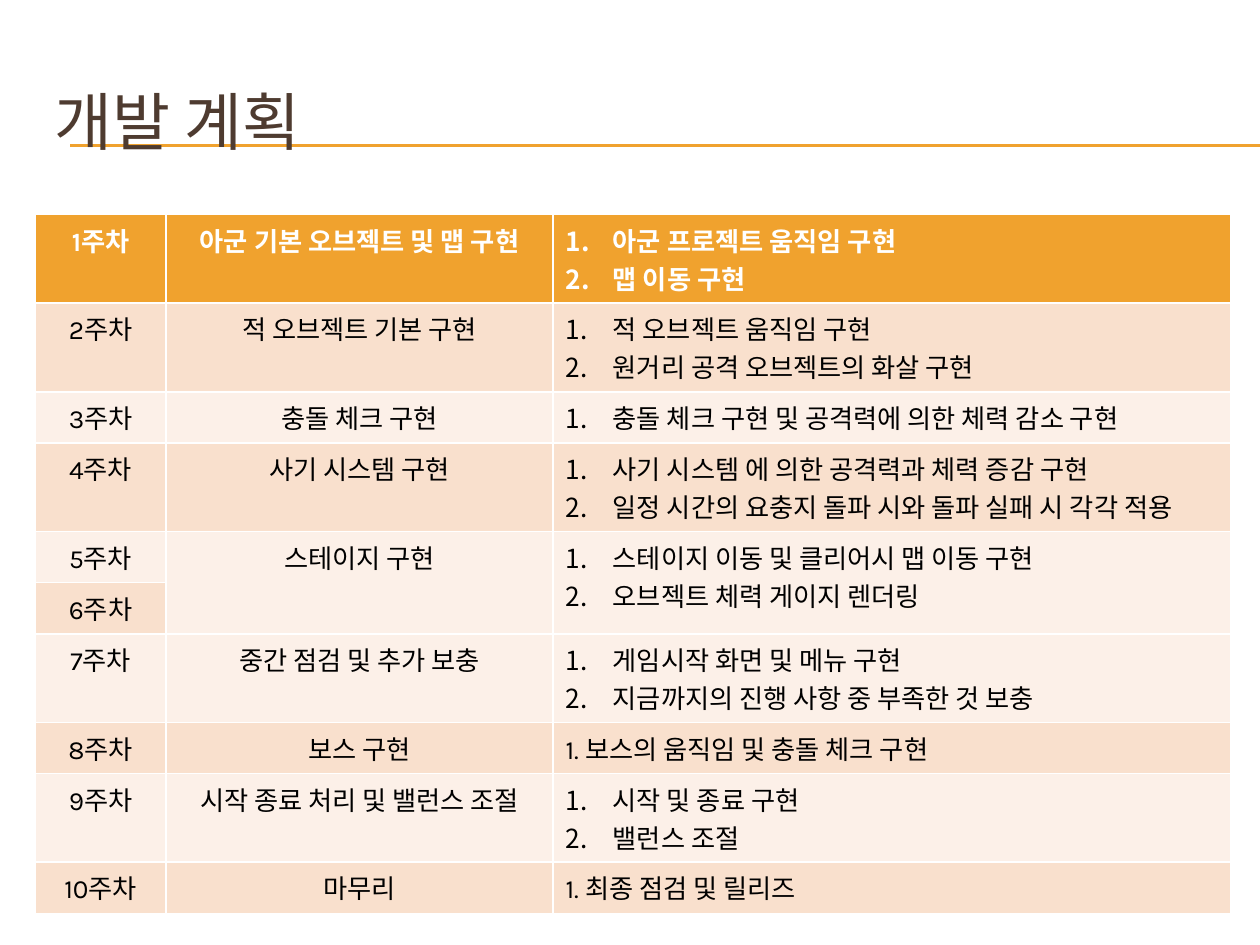
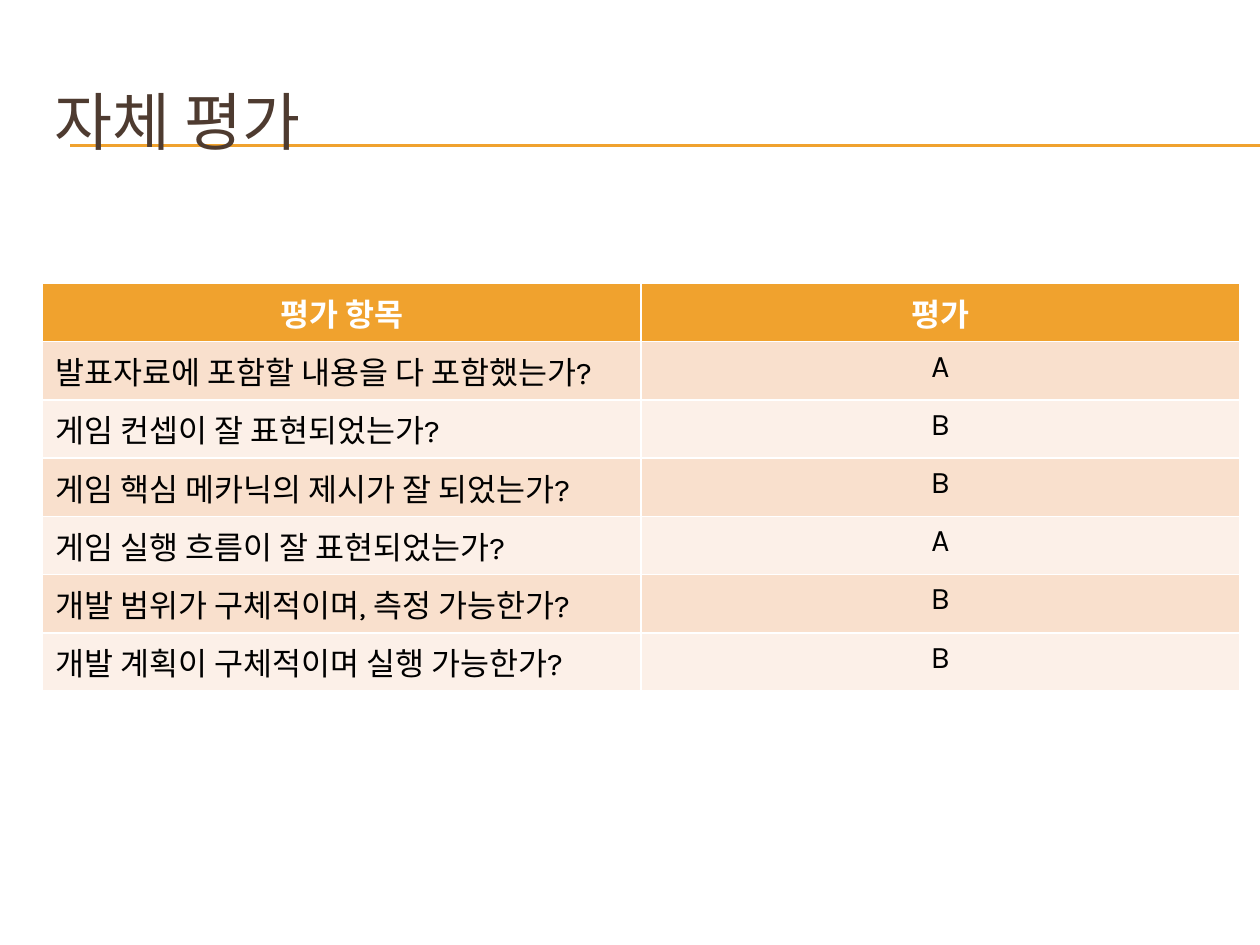
from dataclasses import dataclass

from lxml import etree
from pptx import Presentation
from pptx import util as u
from pptx.dml.color import RGBColor
from pptx.enum import shapes, text
from pptx.oxml import ns


@dataclass(frozen=True)
class Theme:
    """Colours, font and type sizes shared by the slides."""
    font: str = "Karla"
    accent: RGBColor = RGBColor(0xF0, 0xA2, 0x2E)
    title: RGBColor = RGBColor(0x4E, 0x3B, 0x30)
    header_text: RGBColor = RGBColor(0xFF, 0xFF, 0xFF)
    body_text: RGBColor = RGBColor(0, 0, 0)
    bands: tuple = (RGBColor(0xFC, 0xF0, 0xE8), RGBColor(0xF9, 0xE0, 0xCD))
    title_size: int = 36
    plan_size: int = 15
    review_size: int = 18


THEME = Theme()
TITLE_BOX = (24, 36, 684, 66)
SINGLE_ROW, DOUBLE_ROW, REVIEW_ROW = 29.2, 50.6, 33.2

PLAN = [
    ("1주차", "아군 기본 오브젝트 및 맵 구현", ["아군 프로젝트 움직임 구현", "맵 이동 구현"]),
    ("2주차", "적 오브젝트 기본 구현", ["적 오브젝트 움직임 구현", "원거리 공격 오브젝트의 화살 구현"]),
    ("3주차", "충돌 체크 구현", ["충돌 체크 구현 및 공격력에 의한 체력 감소 구현"]),
    ("4주차", "사기 시스템 구현", ["사기 시스템 에 의한 공격력과 체력 증감 구현",
                            "일정 시간의 요충지 돌파 시와 돌파 실패 시 각각 적용"]),
    ("5주차", "스테이지 구현", ["스테이지 이동 및 클리어시 맵 이동 구현", "오브젝트 체력 게이지 렌더링"]),
    ("6주차", "", ""),
    ("7주차", "중간 점검 및 추가 보충", ["게임시작 화면 및 메뉴 구현", "지금까지의 진행 사항 중 부족한 것 보충"]),
    ("8주차", "보스 구현", "1. 보스의 움직임 및 충돌 체크 구현"),
    ("9주차", "시작 종료 처리 및 밸런스 조절", ["시작 및 종료 구현", "밸런스 조절"]),
    ("10주차", "마무리", "1. 최종 점검 및 릴리즈"),
]
STAGE_ROW = 4

REVIEW = [
    ("평가 항목", "평가"),
    ("발표자료에 포함할 내용을 다 포함했는가?", "A"),
    ("게임 컨셉이 잘 표현되었는가?", "B"),
    ("게임 핵심 메카닉의 제시가 잘 되었는가?", "B"),
    ("게임 실행 흐름이 잘 표현되었는가?", "A"),
    ("개발 범위가 구체적이며, 측정 가능한가?", "B"),
    ("개발 계획이 구체적이며 실행 가능한가?", "B"),
]


def style_runs(paragraph, size, color, bold=False):
    """Format every run of a paragraph."""
    for run in paragraph.runs:
        run.font.name = THEME.font
        run.font.size = u.Pt(size)
        run.font.bold = bold
        run.font.color.rgb = color


def number_paragraph(paragraph, hanging=27):
    """Give a paragraph an automatic number with a hanging indent."""
    properties = paragraph._p.get_or_add_pPr()
    properties.set("marL", str(u.Pt(hanging)))
    properties.set("indent", str(-u.Pt(hanging)))
    etree.SubElement(properties, ns.qn("a:buAutoNum"), type="arabicPeriod")


def add_rule(slide, left, top, right):
    """Draw one thin horizontal accent line."""
    rule = slide.shapes.add_connector(
        shapes.MSO_CONNECTOR.STRAIGHT, u.Pt(left), u.Pt(top), u.Pt(right), u.Pt(top))
    rule.line.color.rgb = THEME.accent
    rule.line.width = u.Pt(0.75)
    etree.SubElement(rule._element.spPr, ns.qn("a:effectLst"))


def add_title(slide, box, wording):
    """Place the title over its pair of rules."""
    left, top, width, height = box
    for offset in (46.8, 47.5):
        add_rule(slide, left + 16.3, top + offset, 720)
    title = slide.shapes.title
    title.element.getparent().append(title.element)
    title.left, title.top, title.width, title.height = map(u.Pt, box)
    frame = title.text_frame
    frame.text = wording
    frame.vertical_anchor = text.MSO_ANCHOR.MIDDLE
    frame.paragraphs[0].alignment = text.PP_ALIGN.LEFT
    style_runs(frame.paragraphs[0], THEME.title_size, THEME.title)


def fill_cell(cell, content, row_index, centered, size):
    """Write a cell; a list of items becomes a numbered list."""
    is_header = row_index == 0
    cell.fill.solid()
    cell.fill.fore_color.rgb = THEME.accent if is_header else THEME.bands[row_index % 2]
    numbered = isinstance(content, list)
    cell.text_frame.text = "\n".join(content) if numbered else content
    for paragraph in cell.text_frame.paragraphs:
        paragraph.alignment = text.PP_ALIGN.CENTER if centered else text.PP_ALIGN.LEFT
        style_runs(paragraph, size, THEME.header_text if is_header else THEME.body_text, is_header)
        if numbered:
            number_paragraph(paragraph)


def add_table(slide, origin, rows, column_widths, row_heights, size, left_column):
    """Build a banded table whose header is the first row."""
    left, top = origin
    table = slide.shapes.add_table(
        len(rows), len(column_widths), u.Pt(left), u.Pt(top),
        u.Pt(sum(column_widths)), u.Pt(sum(row_heights))).table
    for column, width in zip(table.columns, column_widths):
        column.width = u.Pt(width)
    for row_index, (contents, height) in enumerate(zip(rows, row_heights)):
        table.rows[row_index].height = u.Pt(height)
        for column_index, content in enumerate(contents):
            centered = row_index == 0 and not isinstance(content, list) or column_index != left_column
            fill_cell(table.cell(row_index, column_index), content, row_index, centered, size)
    return table


def add_titled_slide(presentation, wording):
    """Add a title-only slide with the shared title."""
    slide = presentation.slides.add_slide(presentation.slide_layouts[5])
    add_title(slide, TITLE_BOX, wording)
    return slide


def build_plan(presentation):
    """Build the weekly development plan."""
    slide = add_titled_slide(presentation, "개발 계획")
    heights = [DOUBLE_ROW if len(tasks) == 2 and index != STAGE_ROW else SINGLE_ROW
               for index, (_, _, tasks) in enumerate(PLAN)]
    table = add_table(slide, (20, 122.6), PLAN, (75, 221, 387.5), heights, THEME.plan_size, 2)
    for column in (1, 2):
        table.cell(STAGE_ROW, column).merge(table.cell(STAGE_ROW + 1, column))


def build_review(presentation):
    """Build the self-assessment slide."""
    slide = add_titled_slide(presentation, "자체 평가")
    add_table(slide, (24.4, 162), REVIEW, (342, 342), [REVIEW_ROW] * len(REVIEW),
              THEME.review_size, 0)


def main():
    """Create and save the presentation."""
    presentation = Presentation()
    presentation.slide_width, presentation.slide_height = u.Pt(720), u.Pt(540)
    build_plan(presentation)
    build_review(presentation)
    presentation.save("out.pptx")


if __name__ == "__main__":
    main()
